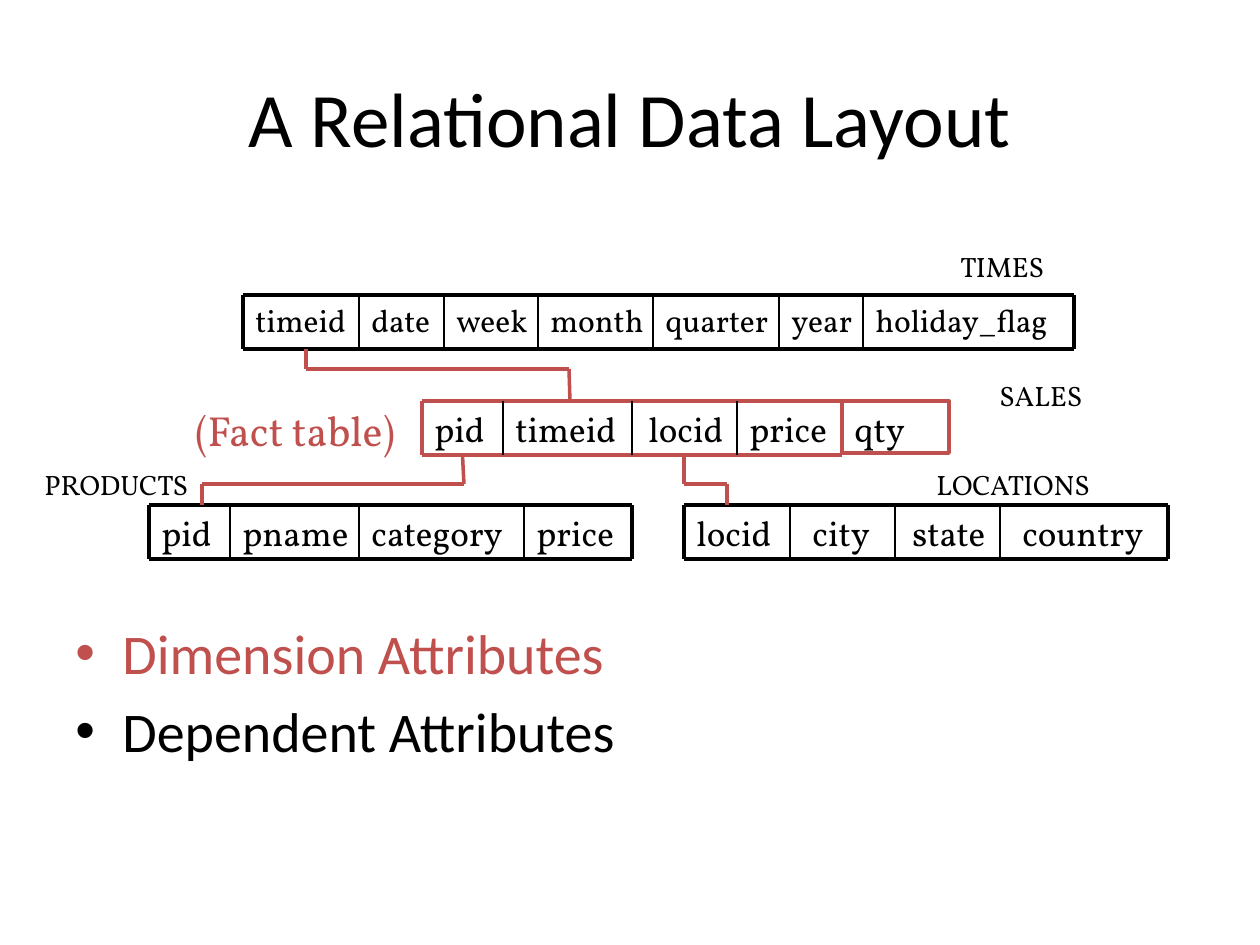
from itertools import pairwise

from lxml.etree import SubElement
from pptx import Presentation
from pptx.dml.color import RGBColor
from pptx.enum.shapes import MSO_CONNECTOR, MSO_SHAPE
from pptx.enum.text import MSO_ANCHOR, MSO_AUTO_SIZE, PP_ALIGN
from pptx.oxml.ns import qn
from pptx.util import Pt

EMU_PER_PX = 914400 / 126
COLORS = {"black": "000000", "red": "C0504D"}
ROW_HEIGHT = 54

TITLE = "A Relational Data Layout"
BULLETS = [("Dimension Attributes", "red"), ("Dependent Attributes", "black")]

# Columns: name, cell width, text offset in the cell, text box width
TABLES = {
    "TIMES": dict(left=243, top=295, size=18, color="black", columns=[
        ("timeid", 116, 0, 126), ("date", 85, 0, 87), ("week", 94, 0, 111),
        ("month", 115, 0, 126), ("quarter", 126, 0, 136),
        ("year", 84, 0, 95), ("holiday_flag", 211, 0, 211)]),
    "SALES": dict(left=422, top=401, size=20, color="red", columns=[
        ("pid", 81, 0, 81), ("timeid", 129, 0, 134),
        ("locid", 105, 4, 161), ("price", 105, 0, 107)]),
    "PRODUCTS": dict(left=149, top=505, size=20, color="black", columns=[
        ("pid", 81, 0, 81), ("pname", 129, 0, 134),
        ("category", 165, 0, 161), ("price", 108, 0, 107)]),
    "LOCATIONS": dict(left=684, top=505, size=20, color="black", columns=[
        ("locid", 106, 0, 116), ("city", 105, 10, 134),
        ("state", 105, 5, 161), ("country", 168, 10, 150)]),
}
QTY_CELL = (842, 401, 107, 52)

# Text, left, top, width, height, size, color
LABELS = [
    ("(Fact table)", 183, 398, 231, 63, 24, "red"),
    ("SALES", 987, 372, 111, 47, 16, "black"),
    ("TIMES", 948, 243, 110, 47, 16, "black"),
    ("PRODUCTS", 32, 461, 178, 47, 16, "black"),
    ("LOCATIONS", 924, 461, 193, 47, 16, "black"),
]

# Corner points, then the cells joined at the start and at the end
KEY_LINKS = [
    ([(306, 349), (306, 369), (569, 369), (569, 401)],
     ("TIMES", "timeid"), ("SALES", "timeid")),
    ([(464, 455), (464, 484), (202, 484), (202, 505)], ("SALES", "pid"), None),
    ([(684, 453), (684, 484), (727, 484), (727, 505)], None, None),
]
TOP_SIDE, BOTTOM_SIDE = 0, 2


def px(*lengths):
    return [round(length * EMU_PER_PX) for length in lengths]


def rgb(name):
    return RGBColor.from_string(COLORS[name])


def style_text(paragraph, size, color, font="Vollkorn"):
    paragraph.font.size = Pt(size)
    paragraph.font.name = font
    paragraph.font.color.rgb = rgb(color)


def add_text(slide, text, box, size, color="black", font="Vollkorn"):
    shape = slide.shapes.add_textbox(*px(*box))
    shape.text_frame.word_wrap = True
    shape.text_frame.text = text
    style_text(shape.text_frame.paragraphs[0], size, color, font)
    return shape


def add_line(slide, start, end, color, width):
    line = slide.shapes.add_connector(MSO_CONNECTOR.STRAIGHT, *px(*start, *end))
    line.line.color.rgb = rgb(color)
    line.line.width = Pt(width)
    SubElement(line._element.spPr, qn("a:effectLst"))
    return line


def add_relation(slide, left, top, size, color, columns):
    """Draw one row of column names and return its cells by name."""
    bottom = top + ROW_HEIGHT
    cells = {}
    edges = [left]
    for name, cell_width, offset, text_width in columns:
        box = (edges[-1] + offset, top, text_width, ROW_HEIGHT)
        cells[name] = add_text(slide, name, box, size)
        edges.append(edges[-1] + cell_width)
    for y in (top, bottom):
        add_line(slide, (left, y), (edges[-1], y), color, 2)
    for x in edges:
        outer = x in (left, edges[-1])
        add_line(slide, (x, top), (x, bottom),
                 color if outer else "black", 2 if outer else 1)
    return cells


def add_bullets(slide):
    shape = slide.shapes.add_textbox(*px(63, 612, 1134, 232))
    frame = shape.text_frame
    frame.word_wrap = True
    frame.text = "\n".join(text for text, _ in BULLETS)
    indent = px(47)[0]
    for index, (paragraph, (_, color)) in enumerate(zip(frame.paragraphs, BULLETS)):
        properties = paragraph._p.get_or_add_pPr()
        properties.set("marL", str(indent))
        properties.set("indent", str(-indent))
        SubElement(properties, qn("a:buFont"), typeface="Arial")
        SubElement(properties, qn("a:buChar"), char="•")
        style_text(paragraph, 32, color, "Calibri")
        for run in paragraph.runs:
            run.font.color.rgb = rgb(color)
        if index:
            paragraph.space_before = Pt(6.4)


def add_qty_cell(slide):
    shape = slide.shapes.add_shape(MSO_SHAPE.RECTANGLE, *px(*QTY_CELL))
    shape.shadow.inherit = False
    shape.fill.background()
    shape.line.color.rgb = rgb("red")
    shape.line.width = Pt(2.25)
    frame = shape.text_frame
    frame.text = "qty"
    frame.vertical_anchor = MSO_ANCHOR.TOP
    paragraph = frame.paragraphs[0]
    paragraph.alignment = PP_ALIGN.LEFT
    style_text(paragraph, 20, "black")
    paragraph.runs[0].font.color.rgb = rgb("black")


def main():
    presentation = Presentation()
    presentation.slide_width, presentation.slide_height = px(1260, 945)
    slide = presentation.slides.add_slide(presentation.slide_layouts[6])

    title = add_text(slide, TITLE, (63, 38, 1134, 157), 44, font="Calibri")
    title.text_frame.vertical_anchor = MSO_ANCHOR.MIDDLE
    title.text_frame.paragraphs[0].alignment = PP_ALIGN.CENTER
    add_bullets(slide)

    cells = {name: add_relation(slide, **table) for name, table in TABLES.items()}

    for points, source, target in KEY_LINKS:
        lines = [add_line(slide, start, end, "red", 2)
                 for start, end in pairwise(points)]
        if source:
            relation, column = source
            lines[0].begin_connect(cells[relation][column], BOTTOM_SIDE)
        if target:
            relation, column = target
            lines[-1].end_connect(cells[relation][column], TOP_SIDE)

    for text, *box, size, color in LABELS:
        label = add_text(slide, text, box, size, color)
        label.text_frame.word_wrap = False
        label.text_frame.auto_size = MSO_AUTO_SIZE.SHAPE_TO_FIT_TEXT
    add_qty_cell(slide)

    presentation.save("out.pptx")


if __name__ == "__main__":
    main()
